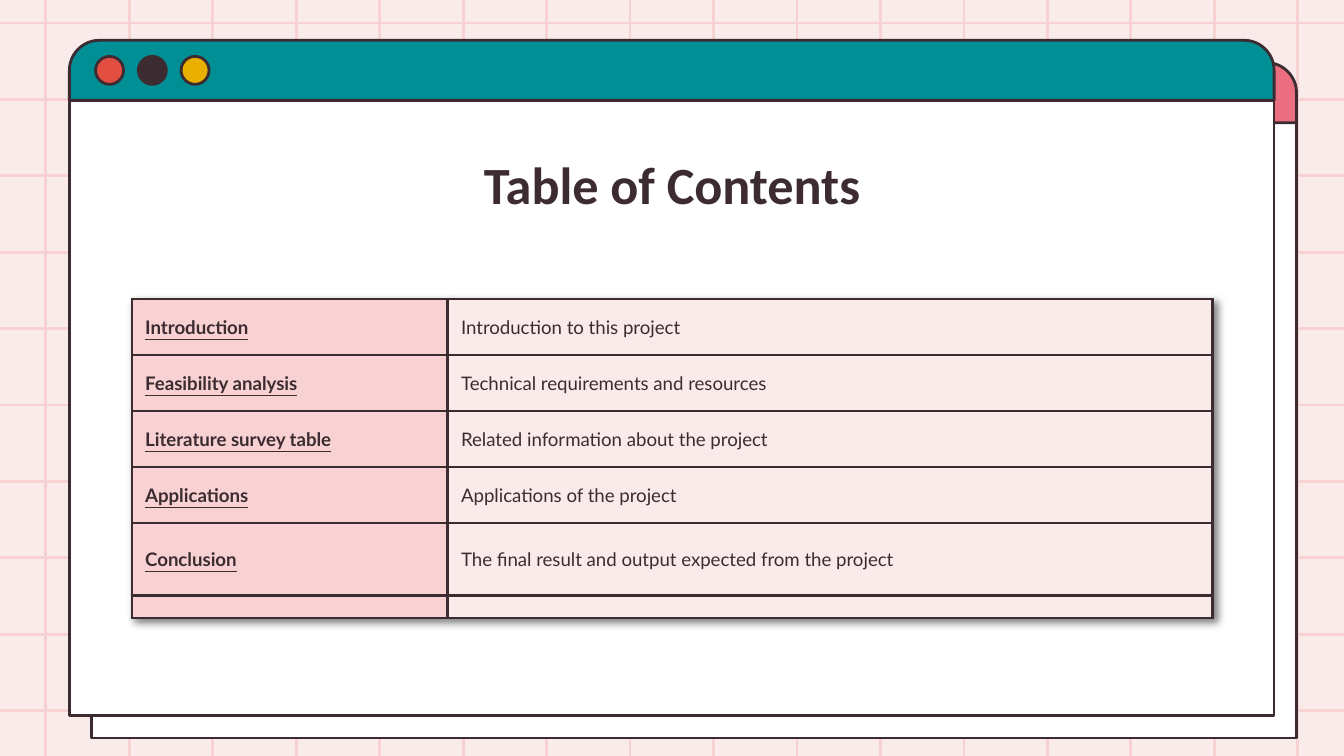
from lxml.etree import SubElement as Sub
from pptx import Presentation
from pptx.dml.color import RGBColor as RGB
from pptx.enum.shapes import MSO_CONNECTOR as Link, MSO_SHAPE as Form
from pptx.enum.text import MSO_ANCHOR as Anchor, PP_ALIGN as Align
from pptx.oxml.ns import qn
from pptx.util import Pt

TITLE = "Table of Contents"
ROWS = [
    ("Introduction", "Introduction to this project", 30),
    ("Feasibility analysis", "Technical requirements and resources", 30),
    ("Literature survey table", "Related information about the project", 30),
    ("Applications", "Applications of the project", 30),
    ("Conclusion", "The final result and output expected from the project", 39),
    ("", "", 12),
]
COLS = (169.2, 409.7)
THEME = {
    "paper": "FAEBEB", "pink": "F8D2D2", "ink": "3C2C31", "white": "FFFFFF",
    "teal": "008F95", "rose": "EB6E80", "red": "E24E42", "gold": "E9B000",
    "head": ("Calibri", 28), "body": ("Lato", 10), "line": 1.5,
}
WIDE, HIGH = 720, 405
WINDOWS = [(49.2, 33.6, "rose"), (37.2, 21.6, "teal")]
WIN_W, BAR_H, PANE_H = 645.4, 32.2, 329.6
DOTS = ("red", "ink", "gold")


def tint(name):
    return RGB.from_string(THEME[name])


def draw(slide, form, box, fill):
    shape = slide.shapes.add_shape(form, *map(Pt, box))
    shape.shadow.inherit = False
    shape.fill.solid()
    shape.fill.fore_color.rgb = tint(fill)
    shape.line.color.rgb = tint("ink")
    shape.line.width = Pt(THEME["line"])
    return shape


def rule(slide, *ends):
    line = slide.shapes.add_connector(Link.STRAIGHT, *map(Pt, ends))
    line.line.color.rgb = tint("pink")
    line.line.width = Pt(THEME["line"])
    Sub(line._element.spPr, qn("a:effectLst"))


def grid(slide):
    for i in range(16):
        x = 24.6 + i * 44.71
        rule(slide, x, HIGH, x, 0)
    for i in range(10):
        y = 12.3 + i * 40.94
        rule(slide, 0, y, WIDE, y)


def window(slide, x, y, fill):
    draw(slide, Form.RECTANGLE, (x, y + BAR_H, WIN_W, PANE_H), "white")
    bar = draw(slide, Form.ROUND_2_SAME_RECTANGLE, (x, y, WIN_W, BAR_H), fill)
    bar.adjustments[0] = 0.5


def style(para, font, bold, under=False):
    name, size = THEME[font]
    for run in para.runs:
        run.font.name, run.font.size = name, Pt(size)
        run.font.bold, run.font.underline = bold, under
        run.font.color.rgb = tint("ink")


def title(slide):
    frame = slide.shapes.add_textbox(Pt(70.6), Pt(74.2), Pt(578.9), Pt(45.4)).text_frame
    frame.word_wrap = True
    frame.margin_top = frame.margin_bottom = Pt(7.2)
    frame.text = TITLE
    para = frame.paragraphs[0]
    para.alignment = Align.CENTER
    style(para, "head", True)


def edge(cell):
    props = cell._tc.get_or_add_tcPr()
    for side in "LRTB":
        line = Sub(props, qn(f"a:ln{side}"), w=str(Pt(THEME["line"])))
        Sub(Sub(line, qn("a:solidFill")), qn("a:srgbClr"), val=THEME["ink"])


def shade(table):
    props = table._tbl.tblPr
    fx = Sub(props, qn("a:effectLst"))
    props.insert(0, fx)
    cast = Sub(fx, qn("a:outerShdw"), blurRad=str(Pt(4)), dist=str(Pt(3)),
               dir="2700000", algn="tl", rotWithShape="0")
    color = Sub(cast, qn("a:srgbClr"), val="000000")
    Sub(color, qn("a:alpha"), val="50000")


def contents(slide):
    high = sum(row[2] for row in ROWS)
    table = slide.shapes.add_table(len(ROWS), len(COLS), Pt(70.6), Pt(160.2),
                                   Pt(sum(COLS)), Pt(high)).table
    table.first_row = table.horz_banding = False
    shade(table)
    for col, wide in zip(table.columns, COLS):
        col.width = Pt(wide)
    for r, (*words, tall) in enumerate(ROWS):
        table.rows[r].height = Pt(tall)
        for c, text in enumerate(words):
            cell = table.cell(r, c)
            cell.margin_top = cell.margin_bottom = 0
            cell.vertical_anchor = Anchor.MIDDLE
            edge(cell)
            cell.fill.solid()
            cell.fill.fore_color.rgb = tint(("pink", "paper")[c])
            cell.text_frame.text = text
            para = cell.text_frame.paragraphs[0]
            style(para, "body", c == 0, c == 0)
            if not text:
                name, size = THEME["body"]
                end = Sub(para._p, qn("a:endParaRPr"), sz=str(size * 100))
                Sub(end, qn("a:latin"), typeface=name)


def main():
    """Build the table of contents slide."""
    deck = Presentation()
    deck.slide_width, deck.slide_height = Pt(WIDE), Pt(HIGH)
    slide = deck.slides.add_slide(deck.slide_layouts[6])
    slide.background.fill.solid()
    slide.background.fill.fore_color.rgb = tint("paper")
    grid(slide)
    for spot in WINDOWS:
        window(slide, *spot)
    left, top, _ = WINDOWS[-1]
    for i, fill in enumerate(DOTS):
        draw(slide, Form.OVAL, (left + 14 + i * 22.9, top + 8.6, 15, 15), fill)
    title(slide)
    contents(slide)
    deck.save("out.pptx")


if __name__ == "__main__":
    main()
